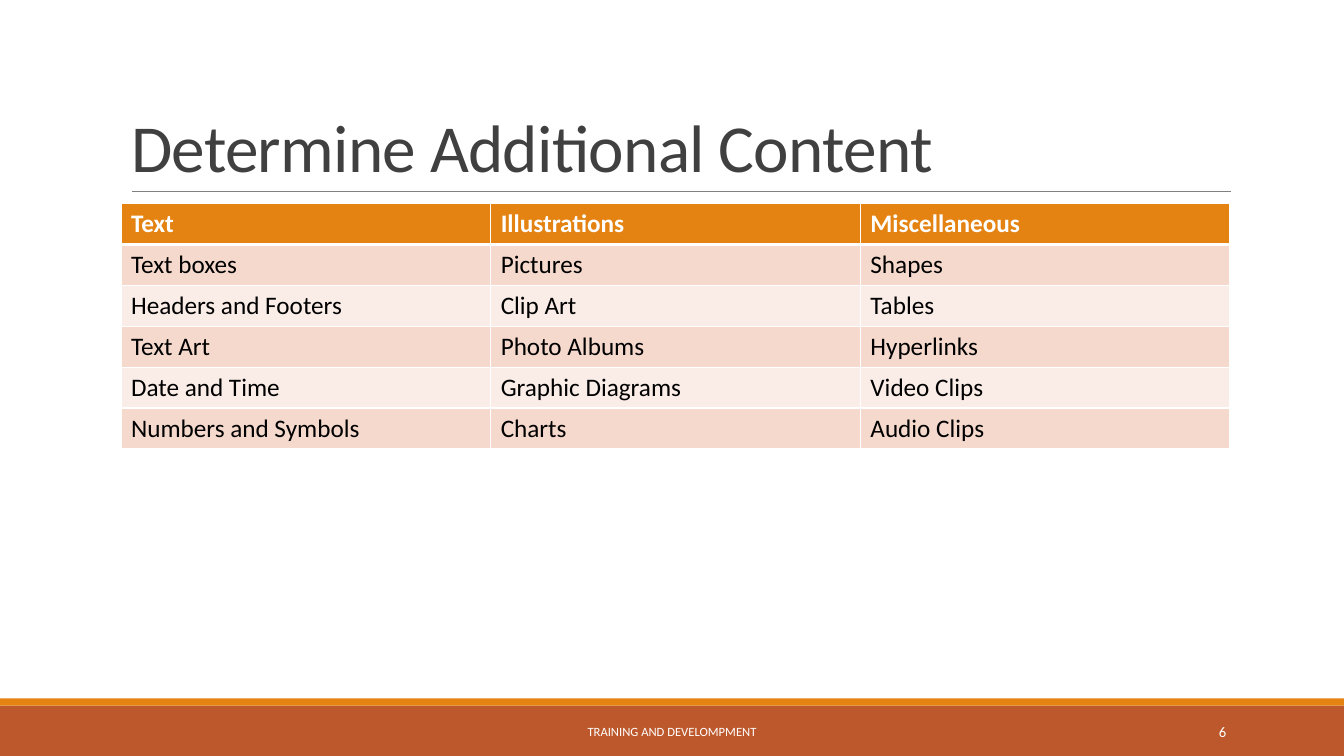
from lxml.etree import SubElement
from pptx import Presentation
from pptx.dml.color import RGBColor as RGB
from pptx.enum.shapes import MSO_CONNECTOR as Connector, MSO_SHAPE as Shape
from pptx.enum.text import MSO_ANCHOR as Anchor, MSO_AUTO_SIZE as AutoSize, PP_ALIGN as Align
from pptx.oxml.ns import qn
from pptx.util import Inches, Pt

THEME = {
    "font": "Calibri",
    "title": "404040", "text": "000000", "white": "FFFFFF", "rule": "808080",
    "orange": "E48312", "rust": "BD582C", "bands": ("F5D9CC", "FAEDE7"),
    "title_size": 48, "table_size": 18, "footer_size": 9, "number_size": 10.5,
}


def write(frame, text, size, color, align=Align.LEFT, bold=False):
    """Put one formatted line into a text frame and return its paragraph."""
    frame.text = text
    para = frame.paragraphs[0]
    para.alignment = align
    font = para.runs[0].font
    font.name, font.size, font.bold = THEME["font"], Pt(size), bold
    font.color.rgb = RGB.from_string(color)
    return para


def add_border(cell, side, width):
    """Draw one white cell edge."""
    line = SubElement(cell._tc.get_or_add_tcPr(), qn(f"a:ln{side}"), w=str(Pt(width)))
    fill = SubElement(line, qn("a:solidFill"))
    SubElement(fill, qn("a:srgbClr"), val=THEME["white"])


deck = Presentation()
deck.slide_width, deck.slide_height = Inches(13.33), Inches(7.5)
page = deck.slides.add_slide(deck.slide_layouts[5])

# Bottom bands
for top, height, color in ((7, 0.5, THEME["rust"]), (6.93, 0.07, THEME["orange"])):
    band = page.shapes.add_shape(
        Shape.RECTANGLE, 0, Inches(top), deck.slide_width, Inches(height))
    band.shadow.inherit = False
    band.fill.solid()
    band.fill.fore_color.rgb = RGB.from_string(color)
    band.line.fill.background()

# Rule under the title
rule = page.shapes.add_connector(
    Connector.STRAIGHT, Inches(1.31), Inches(1.9), Inches(12.21), Inches(1.9))
rule.line.color.rgb = RGB.from_string(THEME["rule"])
rule.line.width = Pt(0.5)
SubElement(rule._element.spPr, qn("a:effectLst"))

# Title
title = page.shapes.title
title.left, title.top = Inches(1.2), Inches(0.31)
title.width, title.height = Inches(11), Inches(1.59)
title.text_frame.auto_size = AutoSize.NONE
title.text_frame.vertical_anchor = Anchor.BOTTOM
para = write(title.text_frame, "Determine Additional Content",
             THEME["title_size"], THEME["title"])
para.line_spacing = 0.85
para.runs[0]._r.get_or_add_rPr().set("spc", "-50")

# Content table
rows = (
    ("Text", "Illustrations", "Miscellaneous"),
    ("Text boxes", "Pictures", "Shapes"),
    ("Headers and Footers", "Clip Art", "Tables"),
    ("Text Art", "Photo Albums", "Hyperlinks"),
    ("Date and Time", "Graphic Diagrams", "Video Clips"),
    ("Numbers and Symbols", "Charts", "Audio Clips"),
)
table = page.shapes.add_table(
    len(rows), len(rows[0]), Inches(1.2), Inches(2.02), Inches(11), Inches(2.43)).table
for row_index, row in enumerate(rows):
    header = row_index == 0
    fill = THEME["orange"] if header else THEME["bands"][(row_index - 1) % 2]
    for column_index, text in enumerate(row):
        cell = table.cell(row_index, column_index)
        write(cell.text_frame, text, THEME["table_size"],
              THEME["white"] if header else THEME["text"], bold=header)
        for side in "LRTB":
            under_header = (row_index, side) in ((0, "B"), (1, "T"))
            add_border(cell, side, 3 if under_header else 1)
        cell.fill.solid()
        cell.fill.fore_color.rgb = RGB.from_string(fill)

# Footer and page number
for left, width, text, size, align in (
    (4.03, 5.27, "TRAINING AND DEVELOMPMENT", THEME["footer_size"], Align.CENTER),
    (10.83, 1.43, "6", THEME["number_size"], Align.RIGHT),
):
    box = page.shapes.add_textbox(Inches(left), Inches(7.06), Inches(width), Inches(0.4))
    box.text_frame.word_wrap = True
    box.text_frame.vertical_anchor = Anchor.MIDDLE
    write(box.text_frame, text, size, THEME["white"], align)

deck.save("out.pptx")
